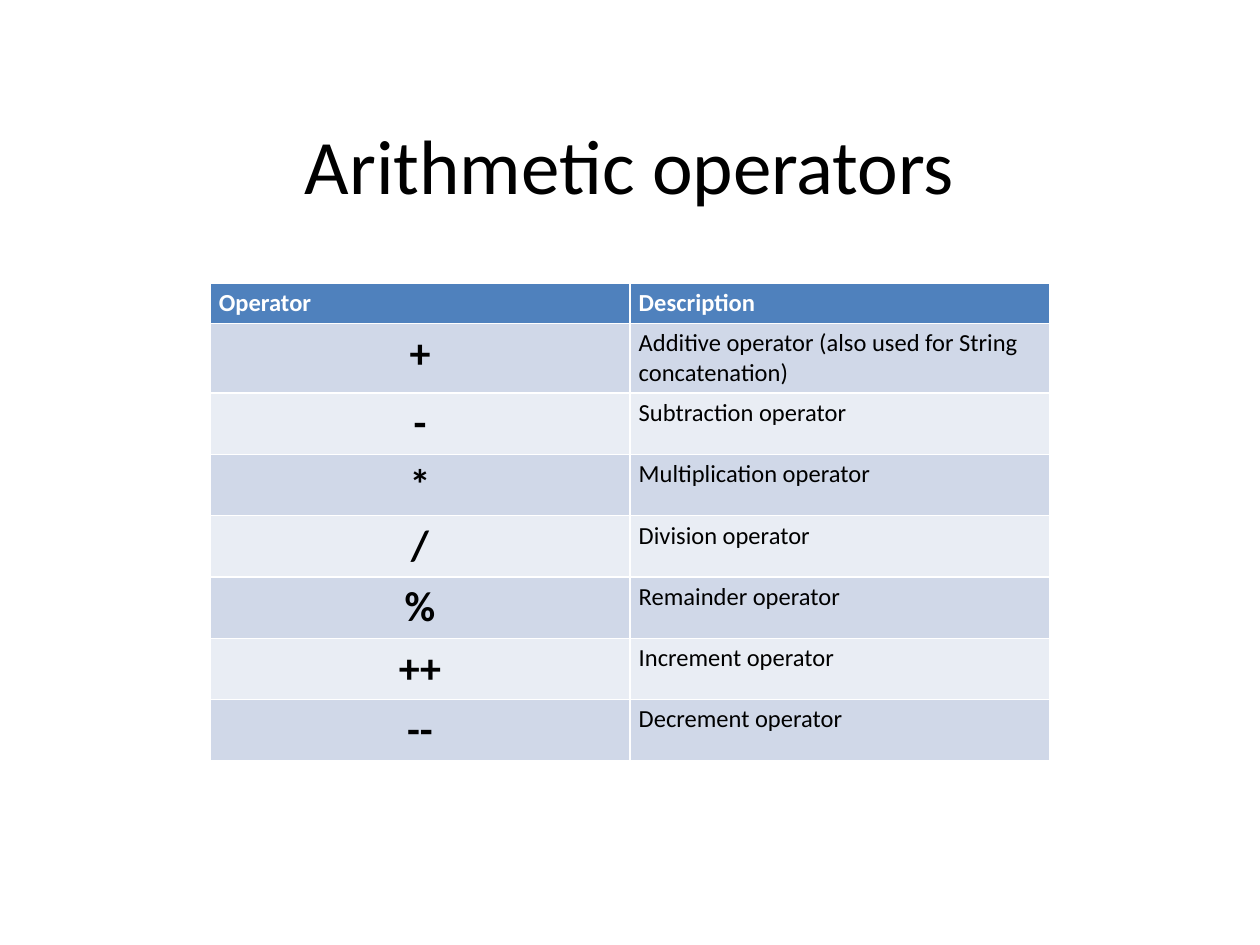
from pptx import Presentation
from pptx.dml.color import RGBColor
from pptx.enum.text import MSO_ANCHOR, PP_ALIGN
from pptx.util import Inches, Pt

BLACK = RGBColor(0x00, 0x00, 0x00)
WHITE = RGBColor(0xFF, 0xFF, 0xFF)
HEADER_BLUE = RGBColor(0x4F, 0x81, 0xBD)
BANDS = (RGBColor(0xD0, 0xD8, 0xE8), RGBColor(0xE9, 0xED, 0xF4))
FONT = "Calibri"

HEADINGS = ("Operator", "Description")
OPERATORS = (
    ("+", "Additive operator (also used for String concatenation)"),
    ("-", "Subtraction operator"),
    ("*", "Multiplication operator"),
    ("/", "Division operator"),
    ("%", "Remainder operator"),
    ("++", "Increment operator"),
    ("--", "Decrement operator"),
)
HEADER_HEIGHT, WRAPPED_HEIGHT, ROW_HEIGHT = Inches(0.3), Inches(0.53), Inches(0.3)


def write(frame, text, size, color, bold=False, align=PP_ALIGN.LEFT):
    para = frame.paragraphs[0]
    para.alignment = align
    span = para.add_run()
    span.text = text
    span.font.name = FONT
    span.font.size = Pt(size)
    span.font.bold = bold
    span.font.color.rgb = color


def place_title(page, box, text):
    title = page.shapes.title
    title.left, title.top, title.width, title.height = box
    title.text_frame.vertical_anchor = MSO_ANCHOR.MIDDLE
    write(title.text_frame, text, 44, BLACK, align=PP_ALIGN.CENTER)


def fill_cell(cell, fill, text, size, color, bold, align=PP_ALIGN.LEFT):
    cell.fill.solid()
    cell.fill.fore_color.rgb = fill
    cell.margin_left = cell.margin_right = Inches(0.07)
    cell.margin_top = cell.margin_bottom = Inches(0.04)
    write(cell.text_frame, text, size, color, bold, align)


def place_operator_table(page, box):
    table = page.shapes.add_table(len(OPERATORS) + 1, len(HEADINGS), *box).table
    heights = [HEADER_HEIGHT, WRAPPED_HEIGHT] + [ROW_HEIGHT] * (len(OPERATORS) - 1)
    for row, height in zip(table.rows, heights):
        row.height = height
    for column, heading in enumerate(HEADINGS):
        fill_cell(table.cell(0, column), HEADER_BLUE, heading, 14, WHITE, True)
    for index, (symbol, description) in enumerate(OPERATORS):
        band = BANDS[index % 2]
        fill_cell(table.cell(index + 1, 0), band, symbol, 24, BLACK, True, PP_ALIGN.CENTER)
        fill_cell(table.cell(index + 1, 1), band, description, 14, BLACK, False)


def main():
    deck = Presentation()
    deck.slide_width, deck.slide_height = Inches(10), Inches(7.5)
    width, height = deck.slide_width, deck.slide_height
    page = deck.slides.add_slide(deck.slide_layouts[5])
    title_box = (width // 20, int(height * 0.09), width * 9 // 10, height // 6)
    table_box = (width // 6, int(height * 0.3), width * 2 // 3, height // 2)
    place_title(page, title_box, "Arithmetic operators")
    place_operator_table(page, table_box)
    deck.save("out.pptx")


if __name__ == "__main__":
    main()
